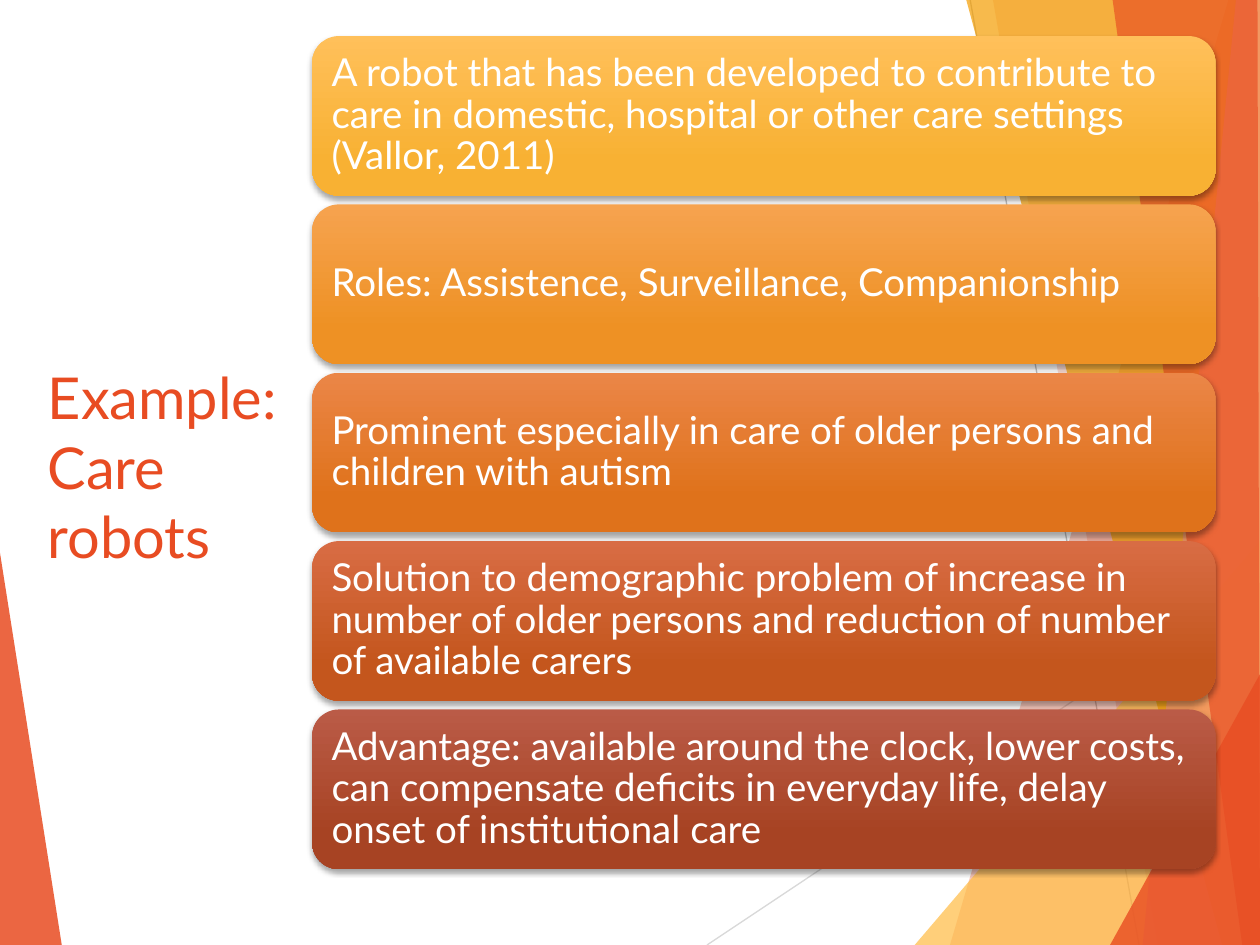
from lxml import etree
from pptx import Presentation
from pptx.dml.color import RGBColor as Rgb
from pptx.enum.shapes import MSO_CONNECTOR as Connector, MSO_SHAPE as Shape
from pptx.enum.text import MSO_ANCHOR as Anchor, PP_ALIGN as Align
from pptx.oxml.ns import qn
from pptx.util import Pt

WIDTH, HEIGHT = 720, 540
COLORS = {
    "red": "E84C22", "yellow": "FFBD47", "amber": "F49D00", "salmon": "F1947A",
    "light gray": "D9D9D9", "gray": "BFBFBF", "white": "FFFFFF", "black": "000000",
}
LEFT_FACET = ("red", 85, [(0, 316), (35.3, HEIGHT), (0, HEIGHT)])
RULES = [("light gray", (404, HEIGHT), (WIDTH, 329.3)),
         ("gray", (554.4, 0), (650.9, HEIGHT))]
# Each facet: colour, opacity in percent, corner points.
RIGHT_FACETS = [
    ("red", 30, [(702, 0), (542.9, HEIGHT), (WIDTH, HEIGHT), (WIDTH, 0)]),
    ("red", 20, [(567.4, 0), (661.7, HEIGHT), (WIDTH, HEIGHT), (WIDTH, 0)]),
    ("yellow", 72, [(522.7, HEIGHT), (WIDTH, 309), (WIDTH, HEIGHT)]),
    ("amber", 70, [(552.2, 0), (698.4, HEIGHT), (WIDTH, HEIGHT), (WIDTH, 0)]),
    ("salmon", 70, [(706.3, 0), (653, HEIGHT), (WIDTH, HEIGHT), (WIDTH, 0)]),
    ("red", 65, [(635.8, 0), (709.9, HEIGHT), (WIDTH, HEIGHT), (718.6, 0)]),
    ("red", 80, [(634.3, HEIGHT), (WIDTH, 385.2), (WIDTH, HEIGHT)]),
]
# Each card: top colour, bottom colour, wording.
CARDS = [
    ("FFC05A", "F8B133", "A robot that has been developed to contribute to care in "
     "domestic, hospital or other care settings (Vallor, 2011)"),
    ("F6A34F", "EE9124", "Roles: Assistence, Surveillance, Companionship"),
    ("EB8647", "DF721B", "Prominent especially in care of older persons and children "
     "with autism"),
    ("D86C44", "C4561D", "Solution to demographic problem of increase in number of older "
     "persons and reduction of number of available carers"),
    ("BA5B47", "A74323", "Advantage: available around the clock, lower costs, can "
     "compensate deficits in everyday life, delay onset of institutional care"),
]
CARD_LEFT, CARD_TOP, CARD_WIDTH, CARD_HEIGHT, CARD_PITCH = 178.4, 20.6, 516.2, 91.2, 96.2


def rgb(name):
    return Rgb.from_string(COLORS[name])


def set_all(target, values):
    for name, value in values.items():
        setattr(target, name, value)


def set_alpha(color_element, percent):
    alpha = etree.SubElement(color_element, qn("a:alpha"))
    alpha.set("val", str(percent * 1000))


def add_facet(page, color, opacity, corners):
    points = [(Pt(x), Pt(y)) for x, y in corners]
    builder = page.shapes.build_freeform(*points[0])
    builder.add_line_segments(points[1:], close=True)
    facet = builder.convert_to_shape()
    facet.shadow.inherit = False
    facet.fill.solid()
    facet.fill.fore_color.rgb = rgb(color)
    set_alpha(facet.fill._xPr.find(f".//{qn('a:srgbClr')}"), opacity)
    facet.line.fill.background()


def add_rule(page, color, start, end):
    rule = page.shapes.add_connector(
        Connector.STRAIGHT, *(Pt(value) for value in (*start, *end)))
    rule.line.color.rgb = rgb(color)
    rule.line.width = Pt(0.75)
    etree.SubElement(rule._element.spPr, qn("a:effectLst"))


def write_text(box, text, color, size, frame_format, para_format):
    frame = box.text_frame
    set_all(frame, {"word_wrap": True, "vertical_anchor": Anchor.MIDDLE, **frame_format})
    para = frame.paragraphs[0]
    set_all(para, {"alignment": Align.LEFT, **para_format})
    span = para.add_run()
    span.text = text
    set_all(span.font, {"name": "Lato", "size": Pt(size)})
    span.font.color.rgb = rgb(color)


def add_drop_shadow(shape):
    shape.shadow.inherit = False
    effects = shape._element.spPr.find(qn("a:effectLst"))
    shadow = etree.SubElement(effects, qn("a:outerShdw"))
    values = {"blurRad": Pt(3), "dist": Pt(2), "dir": 90 * 60000, "rotWithShape": 0}
    for name, value in values.items():
        shadow.set(name, str(int(value)))
    tint = etree.SubElement(shadow, qn("a:srgbClr"), val=COLORS["black"])
    set_alpha(tint, 35)


def add_card(page, top, upper, lower, text):
    card = page.shapes.add_shape(Shape.ROUNDED_RECTANGLE, Pt(CARD_LEFT), Pt(top),
                                 Pt(CARD_WIDTH), Pt(CARD_HEIGHT))
    card.fill.gradient()
    card.fill.gradient_angle = 270
    for stop, color, position in zip(card.fill.gradient_stops, (upper, lower), (0, 0.78)):
        stop.color.rgb = Rgb.from_string(color)
        stop.position = position
    card.line.fill.background()
    add_drop_shadow(card)
    sides = ("left", "top", "right", "bottom")
    write_text(card, text, "white", 22,
               {f"margin_{side}": Pt(6.6) for side in sides}, {"line_spacing": 0.9})


def add_title(page, text):
    box = page.shapes.add_textbox(Pt(20.2), Pt(145.4), Pt(170), Pt(242))
    write_text(box, text, "red", 33, {}, {})


def main():
    deck = Presentation()
    set_all(deck, {"slide_width": Pt(WIDTH), "slide_height": Pt(HEIGHT)})
    page = deck.slides.add_slide(deck.slide_layouts[6])
    add_facet(page, *LEFT_FACET)
    for rule in RULES:
        add_rule(page, *rule)
    for facet in RIGHT_FACETS:
        add_facet(page, *facet)
    add_title(page, "Example: Care robots")
    for index, card in enumerate(CARDS):
        add_card(page, CARD_TOP + index * CARD_PITCH, *card)
    deck.save("out.pptx")


if __name__ == "__main__":
    main()
